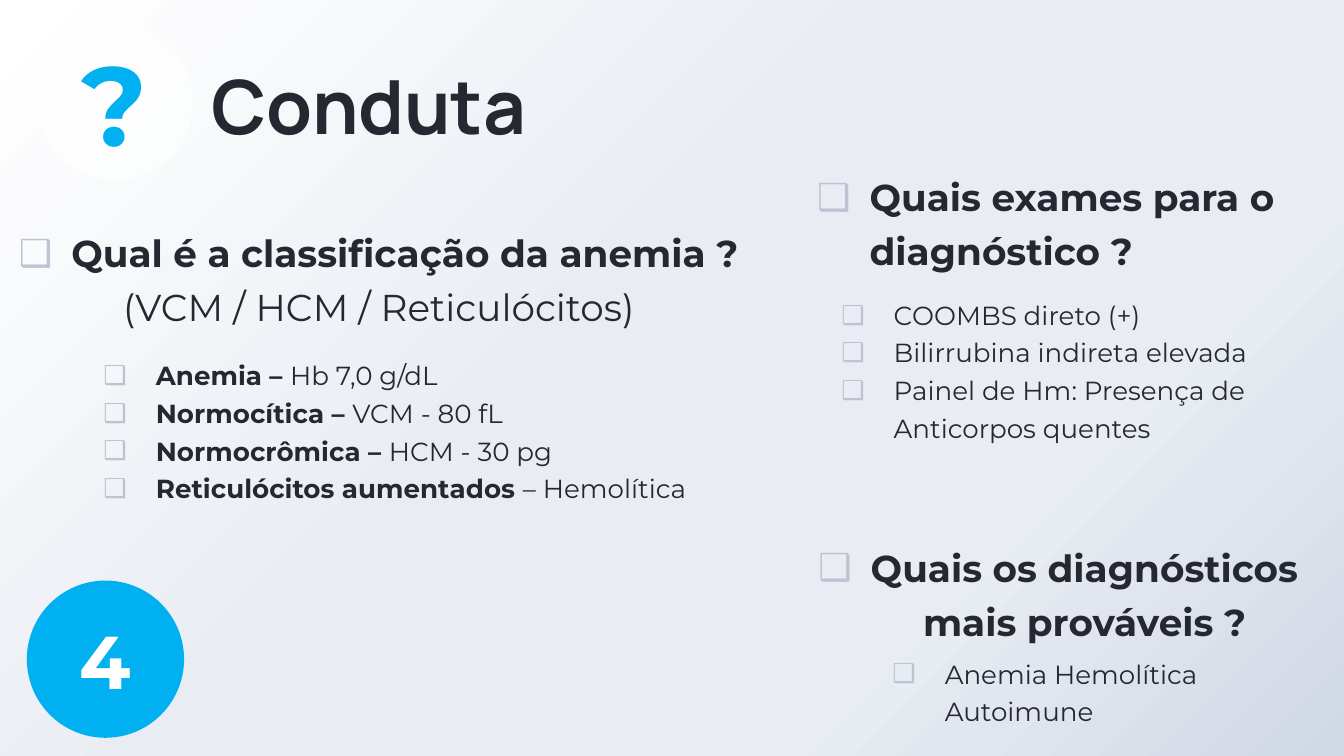
from lxml.etree import SubElement
from pptx import Presentation
from pptx.dml.color import RGBColor
from pptx.enum.shapes import MSO_SHAPE
from pptx.enum.text import MSO_ANCHOR, PP_ALIGN
from pptx.oxml import parse_xml
from pptx.oxml.ns import nsdecls, qn
from pptx.util import Inches, Pt

INK = RGBColor(0x25, 0x28, 0x31)
BLUE = RGBColor(0x00, 0xB0, 0xF0)
WHITE = RGBColor(0xFF, 0xFF, 0xFF)
BULLET = RGBColor(0xBD, 0xC3, 0xD3)
BACKGROUND_STOPS = [
    (0, WHITE),
    (44, RGBColor(0xE9, 0xED, 0xF3)),
    (72, RGBColor(0xE9, 0xED, 0xF3)),
    (100, RGBColor(0xD0, 0xD8, 0xE5)),
]
BODY_FONT = "Montserrat"
QUESTION_SIZE, ANSWER_SIZE = 20, 14
BADGE_SIZE = 1.17


def set_background(slide):
    """Radial gradient that starts in the top left corner."""
    slide.background.fill.solid()
    properties = slide.background._cSld.find(qn("p:bg")).find(qn("p:bgPr"))
    stops = "".join(
        f'<a:gs pos="{percent * 1000}"><a:srgbClr val="{color}"/></a:gs>'
        for percent, color in BACKGROUND_STOPS
    )
    gradient = parse_xml(
        f'<a:gradFill {nsdecls("a")} rotWithShape="1"><a:gsLst>{stops}</a:gsLst>'
        '<a:path path="circle"><a:fillToRect r="100000" b="100000"/></a:path>'
        "</a:gradFill>"
    )
    properties.replace(properties.find(qn("a:solidFill")), gradient)


def add_run(paragraph, text, size, bold=False, color=INK, font=BODY_FONT):
    run = paragraph.add_run()
    run.text = text
    run.font.color.rgb = color
    for name, value in {"name": font, "size": Pt(size), "bold": bold}.items():
        setattr(run.font, name, value)


def indent(paragraph, left, first=0):
    properties = paragraph._p.get_or_add_pPr()
    properties.set("marL", str(Inches(left)))
    properties.set("indent", str(Inches(first)))
    return properties


def add_bullet(paragraph):
    properties = indent(paragraph, 0.5, -0.39)
    color = SubElement(properties, qn("a:buClr"))
    SubElement(color, qn("a:srgbClr")).set("val", str(BULLET))
    SubElement(properties, qn("a:buFont")).set("typeface", BODY_FONT)
    SubElement(properties, qn("a:buChar")).set("char", "❑")


def add_frame(slide, left, top, width, height, anchor=MSO_ANCHOR.TOP):
    box = slide.shapes.add_textbox(
        Inches(left), Inches(top), Inches(width), Inches(height)
    )
    frame = box.text_frame
    layout = {"word_wrap": True, "vertical_anchor": anchor}
    layout.update(dict.fromkeys(
        ("margin_left", "margin_top", "margin_right", "margin_bottom"), 0
    ))
    for name, value in layout.items():
        setattr(frame, name, value)
    return frame


def add_checklist(slide, area, items, size, align=PP_ALIGN.LEFT):
    """Each item is a list of (text, bold) pieces."""
    frame = add_frame(slide, *area)
    for number, pieces in enumerate(items):
        paragraph = frame.add_paragraph() if number else frame.paragraphs[0]
        add_bullet(paragraph)
        paragraph.alignment = align
        paragraph.line_spacing = 1.2
        for text, bold in pieces:
            add_run(paragraph, text, size, bold)
    return frame


def add_badge(slide, left, top, text, size, fill, color, opacity=100):
    badge = slide.shapes.add_shape(
        MSO_SHAPE.OVAL, Inches(left), Inches(top),
        Inches(BADGE_SIZE), Inches(BADGE_SIZE),
    )
    badge.shadow.inherit = False
    badge.fill.solid()
    badge.fill.fore_color.rgb = fill
    badge.line.fill.background()
    if opacity < 100:
        fill_color = badge._element.spPr.find(qn("a:solidFill"))[0]
        SubElement(fill_color, qn("a:alpha")).set("val", str(opacity * 1000))
    badge.text_frame.vertical_anchor = MSO_ANCHOR.MIDDLE
    label = badge.text_frame.paragraphs[0]
    label.alignment = PP_ALIGN.CENTER
    add_run(label, text, size, True, color)


def main():
    # Widescreen slide, 16:9
    deck = Presentation()
    deck.slide_width = Inches(10)
    deck.slide_height = deck.slide_width * 9 // 16
    slide = deck.slides.add_slide(deck.slide_layouts[6])
    set_background(slide)

    # Heading and badges
    heading = add_frame(slide, 1.57, 0.4, 2.78, 0.71, MSO_ANCHOR.BOTTOM)
    add_run(heading.paragraphs[0], "Conduta", 40, True, font="Manrope")
    add_badge(slide, 0.2, 4.32, "4", 40, BLUE, WHITE)
    add_badge(slide, 0.27, 0.17, "?", 60, WHITE, BLUE, opacity=69)

    # Classification of the anemia
    classification = add_checklist(
        slide, (0, 1.65, 5.53, 0.87),
        [[("Qual é a classificação da anemia ?", True)]],
        QUESTION_SIZE, PP_ALIGN.CENTER,
    )
    indices = classification.add_paragraph()
    indent(indices, 0.11)
    indices.alignment = PP_ALIGN.CENTER
    indices.line_spacing = 1.2
    add_run(indices, "(VCM / HCM / Reticulócitos)", QUESTION_SIZE)
    findings = [
        ("Anemia – ", "Hb 7,0 g/dL"),
        ("Normocítica – ", "VCM - 80 fL"),
        ("Normocrômica – ", "HCM - 30 pg"),
        ("Reticulócitos aumentados ", "– Hemolítica"),
    ]
    add_checklist(
        slide, (0.66, 2.63, 4.63, 1.36),
        [[(term, True), (value, False)] for term, value in findings],
        ANSWER_SIZE,
    )

    # Probable diagnoses
    add_checklist(
        slide, (5.84, 3.99, 3.96, 0.87),
        [[("Quais os diagnósticos mais prováveis ?", True)]],
        QUESTION_SIZE, PP_ALIGN.CENTER,
    )
    add_checklist(
        slide, (6.53, 4.85, 2.96, 0.64),
        [[("Anemia Hemolítica Autoimune", False)]], ANSWER_SIZE,
    )

    # Exams for the diagnosis
    add_checklist(
        slide, (5.97, 1.23, 4.09, 0.87),
        [[("Quais exames para o diagnóstico ?", True)]], QUESTION_SIZE,
    )
    exams = [
        "COOMBS direto (+)",
        "Bilirrubina indireta elevada",
        "Painel de Hm: Presença de Anticorpos quentes",
    ]
    add_checklist(
        slide, (6.15, 2.18, 3.8, 1.16),
        [[(exam, False)] for exam in exams], ANSWER_SIZE,
    )

    deck.save("out.pptx")


if __name__ == "__main__":
    main()
